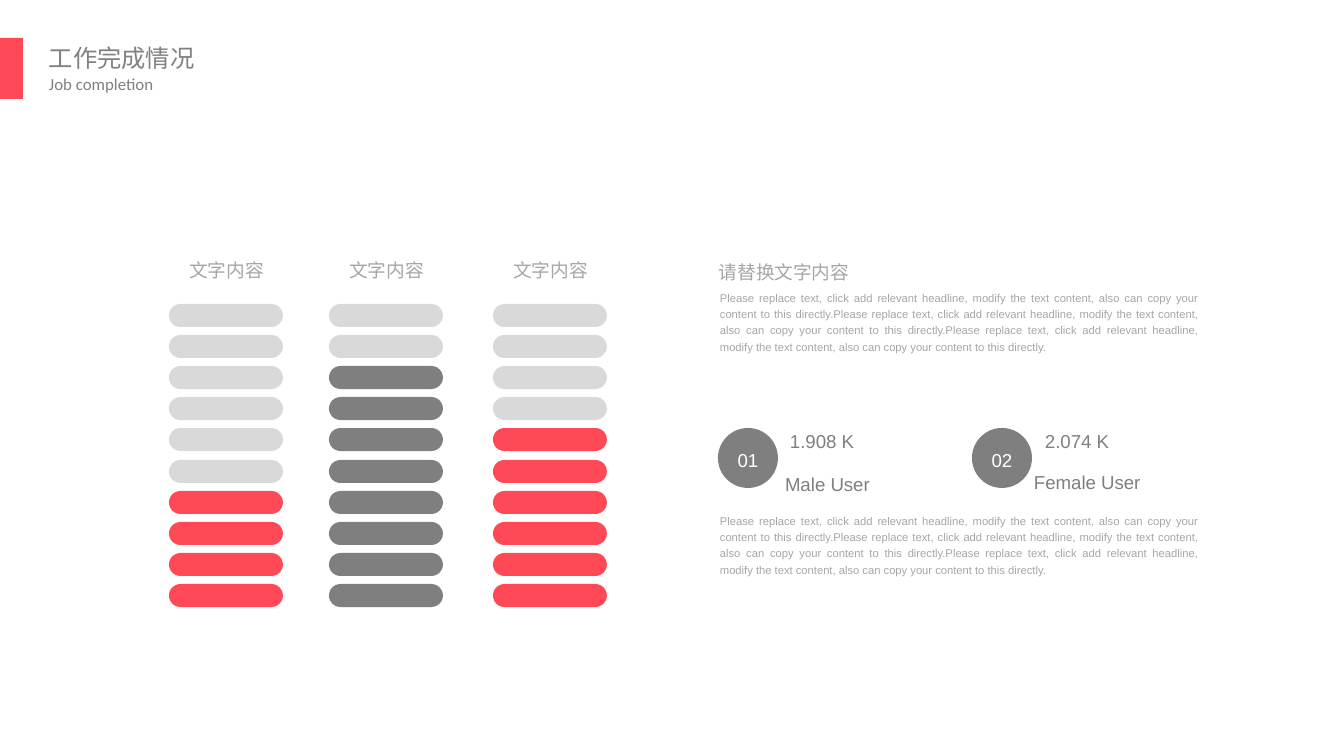
from lxml.etree import SubElement
from pptx import Presentation
from pptx.dml.color import RGBColor
from pptx.enum.shapes import MSO_SHAPE
from pptx.enum.text import MSO_ANCHOR, MSO_AUTO_SIZE, PP_ALIGN
from pptx.oxml.ns import qn
from pptx.util import Emu, Pt

COLORS = {
    "red": "FF4957",
    "gray": "7F7F7F",
    "title": "808080",
    "muted": "A6A6A6",
    "empty": "D9D9D9",
}
COLORS["white"] = "FFFFFF"
CJK_FONT = "Noto Sans CJK SC"
WIDTH, HEIGHT = 1344, 756


def px(n):
    return Emu(round(n * 9144000 / WIDTH))


def rgb(name):
    return RGBColor.from_string(COLORS[name])


def write(tf, text, size=10, color="muted", font="Arial",
          align=PP_ALIGN.LEFT, spacing=None, inset=(0, 0)):
    tf.margin_left = tf.margin_right = px(inset[0])
    tf.margin_top = tf.margin_bottom = px(inset[1])
    p = tf.paragraphs[0]
    p.alignment = align
    if spacing:
        p.line_spacing = spacing
    r = p.add_run()
    r.text = text
    r.font.size = Pt(size)
    r.font.name = font
    r.font.color.rgb = rgb(color)
    SubElement(r.font._element, qn("a:ea"), typeface=CJK_FONT)


class SlideBuilder:
    def __init__(self, slide):
        self.s = slide

    def shape(self, kind, x, y, w, h, color):
        sp = self.s.shapes.add_shape(kind, px(x), px(y), px(w), px(h))
        sp.shadow.inherit = False
        sp.fill.solid()
        sp.fill.fore_color.rgb = rgb(color)
        sp.line.fill.background()
        return sp

    def pill(self, x, y, w, h, color):
        sp = self.shape(MSO_SHAPE.ROUNDED_RECTANGLE, x, y, w, h, color)
        sp.adjustments[0] = 0.5

    def badge(self, x, y, d, text):
        sp = self.shape(MSO_SHAPE.OVAL, x, y, d, d, "gray")
        sp.text_frame.vertical_anchor = MSO_ANCHOR.MIDDLE
        write(sp.text_frame, text, color="white",
              align=PP_ALIGN.CENTER, spacing=1.2)

    def text(self, x, y, w, h, text, wrap=True, **fmt):
        sp = self.s.shapes.add_textbox(px(x), px(y), px(w), px(h))
        tf = sp.text_frame
        tf.word_wrap = wrap
        tf.auto_size = MSO_AUTO_SIZE.SHAPE_TO_FIT_TEXT
        write(tf, text, **fmt)


def main():
    prs = Presentation()
    prs.slide_width, prs.slide_height = px(WIDTH), px(HEIGHT)
    s = SlideBuilder(prs.slides.add_slide(prs.slide_layouts[6]))

    # Header
    s.shape(MSO_SHAPE.RECTANGLE, 0, 38, 23, 61, "red")
    header = dict(wrap=False, color="title", inset=(10, 5))
    s.text(39, 38, 168, 39, "工作完成情况", size=13, font=CJK_FONT, **header)
    s.text(39, 69, 126, 31, "Job completion", size=9, font="Calibri", **header)

    # Columns of ten pills, filled from the bottom
    rows = 10
    for x, filled, color in ((169, 4, "red"), (329, 8, "gray"), (493, 6, "red")):
        s.text(x + 6, 259, 103, 23, "文字内容", align=PP_ALIGN.CENTER)
        for row in range(rows):
            y = 304 + round(row * 280 / (rows - 1))
            s.pill(x, y, 114, 23, color if row >= rows - filled else "empty")

    # Heading and paragraphs
    body = dict(align=PP_ALIGN.JUSTIFY, spacing=1.2)
    sentence = ("Please replace text, click add relevant headline, modify the "
                "text content, also can copy your content to this directly.")
    s.text(719, 256, 427, 27, "请替换文字内容", **body)
    for y in (289, 512):
        s.text(720, y, 478, 65, sentence * 3, size=6, **body)

    # User figures: badge, value, caption
    figures = (
        (718, "01", "1.908 K", 790, "Male User", (785, 468, 86)),
        (972, "02", "2.074 K", 1045, "Female User", (1034, 466, 107)),
    )
    for x, number, value, value_x, caption, (cap_x, cap_y, cap_w) in figures:
        s.badge(x, 428, 60, number)
        s.text(value_x, 425, 65, 27, value, wrap=False, color="gray", **body)
        s.text(cap_x, cap_y, cap_w, 27, caption, wrap=False, color="gray", **body)

    prs.save("out.pptx")


if __name__ == "__main__":
    main()
